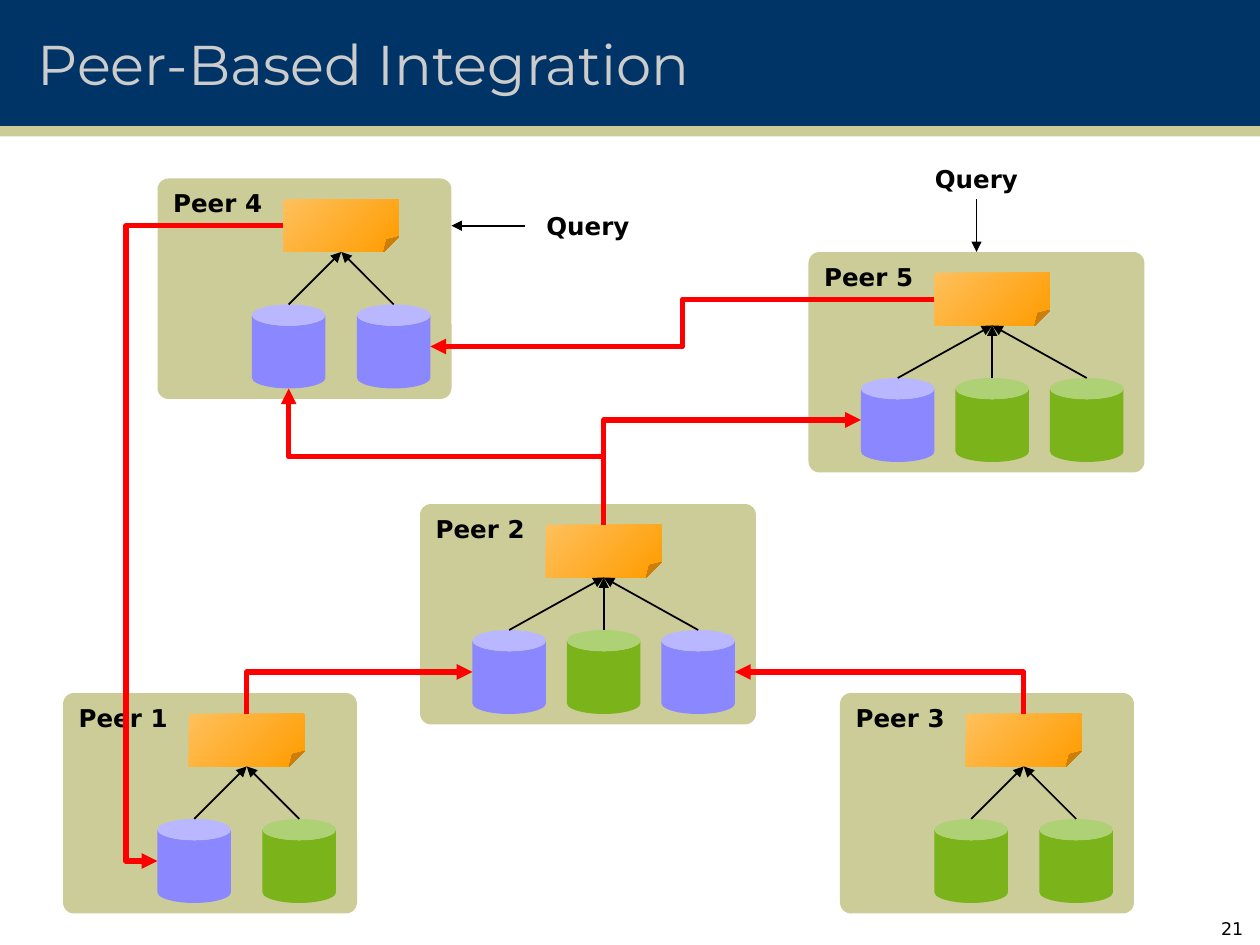
from dataclasses import dataclass

from lxml import etree
from pptx import Presentation
from pptx import util as u
from pptx.dml.color import RGBColor
from pptx.enum import shapes, text
from pptx.oxml.ns import qn

KIND = shapes.MSO_SHAPE
LINK = shapes.MSO_CONNECTOR
Point = tuple[float, float]


@dataclass(frozen=True)
class Theme:
    navy: str = "003366"
    sand: str = "CCCC99"
    grey: str = "CCCCCC"
    black: str = "000000"
    red: str = "FF0000"
    blue: str = "8B88FF"
    green: str = "7BB31A"
    light: str = "FFC05C"
    amber: str = "FF9C00"
    head: str = "Montserrat"
    body: str = "DejaVu Sans"
    title: int = 32
    label: int = 14
    page: int = 10


T = Theme()


@dataclass(frozen=True)
class Peer:
    """A box holding one schema sheet above a row of data stores."""
    name: str
    x: float
    y: float
    hues: tuple[str, ...]

    @property
    def wide(self) -> int:
        return 32 if len(self.hues) == 3 else 28

    def can(self, i: int) -> Point:
        first, step = (5, 9) if len(self.hues) == 3 else (9, 10)
        return self.x + first + step * i, self.y + 12

    def sheet(self, dx: float, dy: float) -> Point:
        return self.x + 12 + dx, self.y + 2 + dy

    def port(self, i: int, dx: float, dy: float) -> Point:
        x, y = self.can(i)
        return x + dx, y + dy


# All positions are on a grid of 120 by 90 units
def grid(n: float) -> u.Cm:
    return u.Cm(n * 25.4 / 120)


def write(item, words: str, size=T.label, font=T.body, hue=T.black, bold=True,
          align=text.PP_ALIGN.LEFT, anchor=text.MSO_ANCHOR.TOP,
          left=0.25, edge=0.13) -> None:
    frame = item.text_frame
    frame.word_wrap = False
    frame.vertical_anchor = anchor
    frame.margin_left, frame.margin_right = u.Cm(left), u.Cm(0.25)
    frame.margin_top = frame.margin_bottom = u.Cm(edge)
    para = frame.paragraphs[0]
    para.alignment = align
    run = para.add_run()
    run.text = words
    run.font.size, run.font.name, run.font.bold = u.Pt(size), font, bold
    run.font.color.rgb = RGBColor.from_string(hue)


def adjust(item, name: str, share: float) -> None:
    geom = item._element.spPr.find(qn("a:prstGeom"))
    rule = etree.SubElement(geom.find(qn("a:avLst")), qn("a:gd"))
    rule.set("name", name)
    rule.set("fmla", f"val {round(share * 100000)}")


def block(kind, x: float, y: float, w: float, h: float, hue: str, adj=None):
    item = page.shapes.add_shape(kind, grid(x), grid(y), grid(w), grid(h))
    item.shadow.inherit = False
    item.line.fill.background()
    item.fill.solid()
    item.fill.fore_color.rgb = RGBColor.from_string(hue)
    if adj is not None:
        adjust(item, "adj", adj)
    return item


def label(words: str, x: float, y: float, w: float, h: float, **look) -> None:
    item = page.shapes.add_textbox(grid(x), grid(y), grid(w), grid(h))
    write(item, words, align=text.PP_ALIGN.CENTER, **look)


def arrow(start: Point, end: Point, kind=LINK.STRAIGHT, hue=T.black, wide=1):
    line = page.shapes.add_connector(kind, *map(grid, (*start, *end)))
    line.line.width = u.Pt(wide)
    line.line.color.rgb = RGBColor.from_string(hue)
    tip = etree.SubElement(line.line._get_or_add_ln(), qn("a:tailEnd"))
    tip.set("type", "triangle")
    etree.SubElement(line._element.spPr, qn("a:effectLst"))
    return line


def across(start: Point, end: Point, bend: float) -> None:
    """Elbow that leaves sideways and turns at a share of its width."""
    adjust(arrow(start, end, LINK.ELBOW, T.red, 3), "adj1", bend)


def rise(start: Point, end: Point, bend: float | None = None) -> None:
    """Elbow that leaves upward; without a bend it turns only once."""
    (x0, y0), (x1, y1) = start, end
    midx, midy = (x0 + x1) / 2, (y0 + y1) / 2
    side = 1 if x1 > x0 else -1
    w, h = side * (y0 - y1) / 2, abs(x1 - x0) / 2
    line = arrow((midx - w, midy - h), (midx + w, midy + h),
                 LINK.ELBOW, T.red, 3)
    form = line._element.spPr
    angle = 270 if side > 0 else 90
    form.find(qn("a:xfrm")).set("rot", str(angle * 60000))
    if bend is None:
        form.find(qn("a:prstGeom")).set("prst", "bentConnector2")
    else:
        adjust(line, "adj1", bend)


def draw(peer: Peer) -> None:
    box = block(KIND.ROUNDED_RECTANGLE, peer.x, peer.y, peer.wide, 21,
                T.sand, 0.05)
    write(box, peer.name)
    note = block(KIND.FOLDED_CORNER, *peer.sheet(0, 0), 11, 5, T.amber, 0.29)
    note.fill.gradient()
    note.fill.gradient_angle = 315
    for stop, hue in zip(note.fill.gradient_stops, (T.light, T.amber)):
        stop.color.rgb = RGBColor.from_string(hue)
    for i, hue in enumerate(peer.hues):
        block(KIND.CAN, *peer.can(i), 7, 8, hue, 0.29)
        arrow(peer.port(i, 3.5, 0), peer.sheet(5.5, 5))


deck = Presentation()
deck.slide_width, deck.slide_height = grid(120), grid(90)
page = deck.slides.add_slide(deck.slide_layouts[6])

# Title band and page number
block(KIND.RECTANGLE, 0, 12, 120, 1, T.sand)
band = block(KIND.RECTANGLE, 0, 0, 120, 12, T.navy)
write(band, "Peer-Based Integration", size=T.title, font=T.head, hue=T.grey,
      bold=False, anchor=text.MSO_ANCHOR.MIDDLE, left=0.76)
label("21", 114.7, 86.8, 5.3, 3.2, size=T.page, bold=False)

# Peers
one = Peer("Peer 1", 6, 66, (T.blue, T.green))
two = Peer("Peer 2", 40, 48, (T.blue, T.green, T.blue))
three = Peer("Peer 3", 80, 66, (T.green, T.green))
four = Peer("Peer 4", 15, 17, (T.blue, T.blue))
five = Peer("Peer 5", 77, 24, (T.blue, T.green, T.green))
for peer in (one, two, three, four, five):
    draw(peer)

# Mappings between peers
rise(one.sheet(5.5, 0), two.port(0, 0, 4))
rise(three.sheet(5.5, 0), two.port(2, 7, 4))
rise(two.sheet(5.5, 0), five.port(0, 0, 4))
rise(two.sheet(5.5, 0), four.port(0, 3.5, 8), 0.5)
across(four.sheet(0, 2.5), one.port(0, 0, 4), 1.25)
across(five.sheet(0, 2.5), four.port(1, 7, 4), 0.5)

# Queries
for spot, start, end in (((87, 15, 12, 4), (93, 19), (93, 24)),
                         ((50, 20, 12, 3), (50, 21.5), (43, 21.5))):
    label("Query", *spot, anchor=text.MSO_ANCHOR.MIDDLE, edge=0)
    arrow(start, end)

deck.save("out.pptx")
